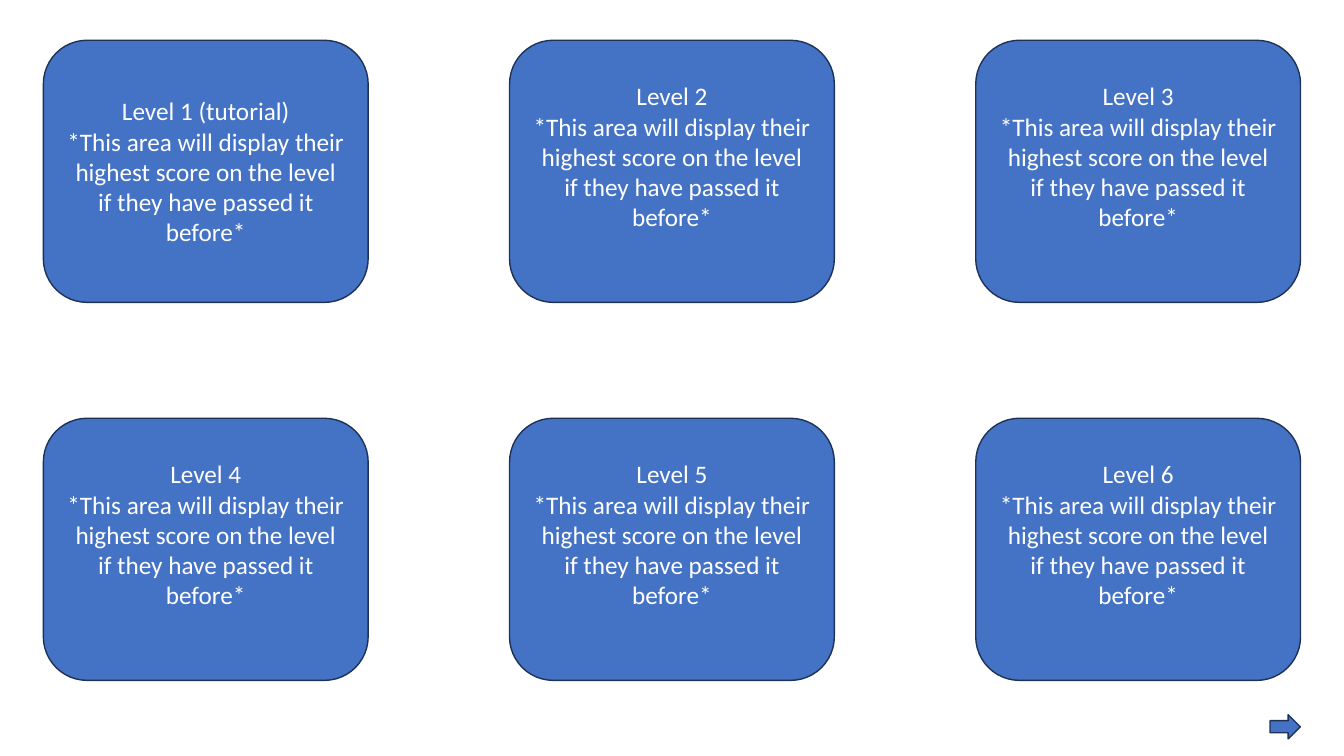
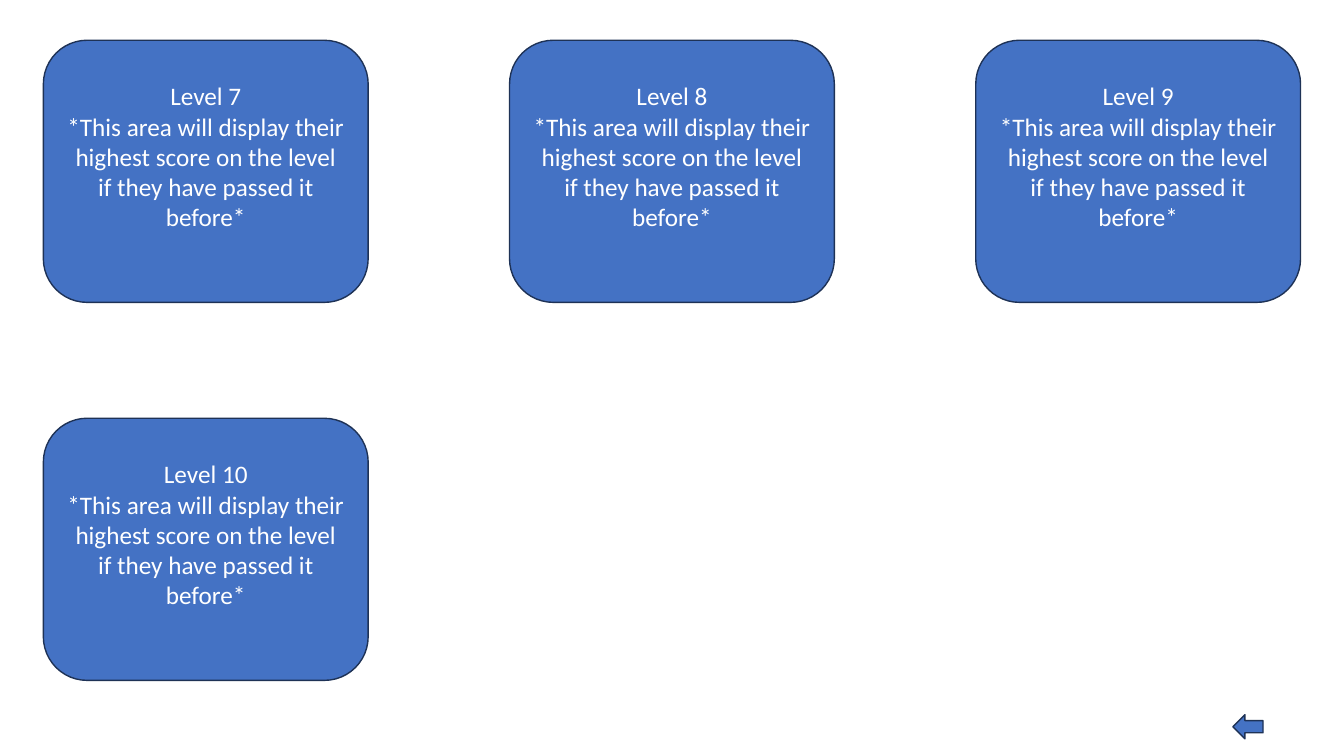
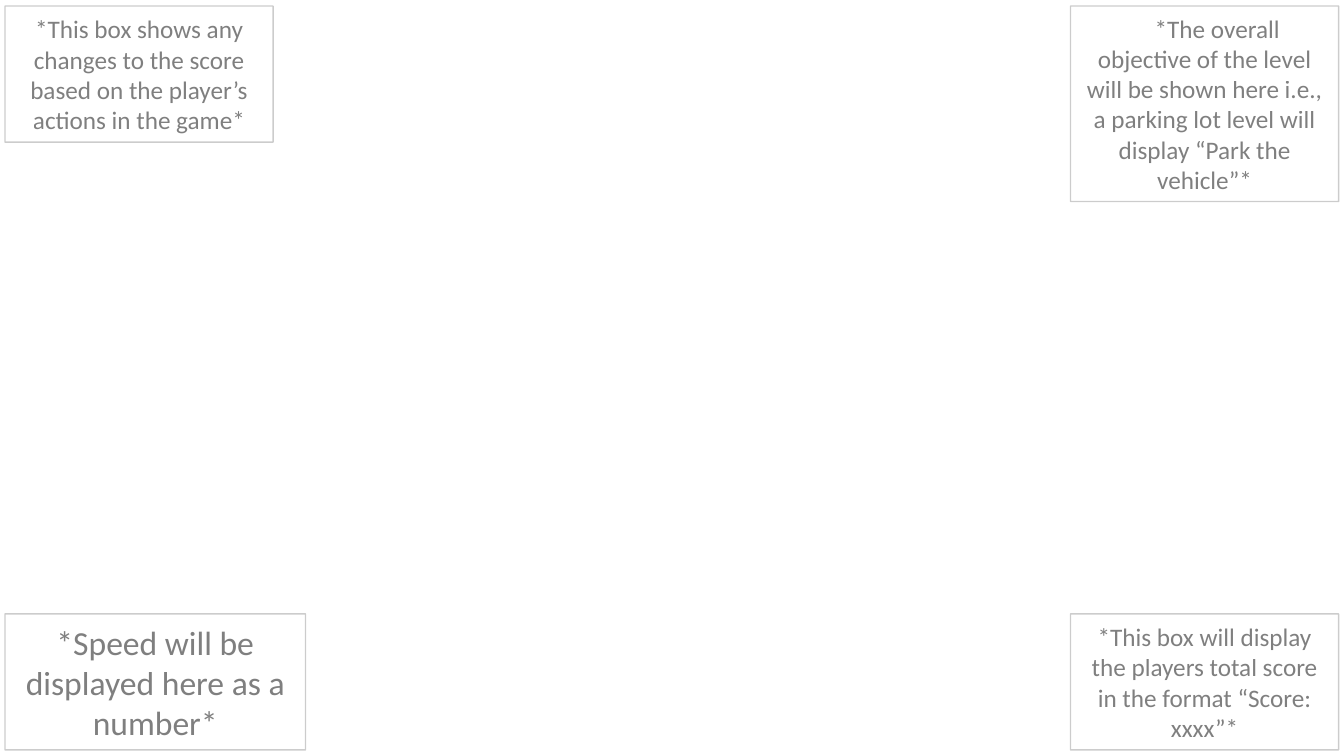
from lxml import etree
from pptx import Presentation
from pptx.dml.color import RGBColor
from pptx.enum.shapes import MSO_SHAPE
from pptx.enum.text import MSO_ANCHOR, PP_ALIGN
from pptx.oxml.ns import qn
from pptx.util import Pt

ROUND_RECT = MSO_SHAPE.ROUNDED_RECTANGLE
RECT = MSO_SHAPE.RECTANGLE
RIGHT_ARROW = MSO_SHAPE.RIGHT_ARROW
LEFT_ARROW = MSO_SHAPE.LEFT_ARROW
CENTER = PP_ALIGN.CENTER
MIDDLE = MSO_ANCHOR.MIDDLE

# Shared look
SLIDE_W, SLIDE_H = 960, 540
FONT = "Calibri"
BLUE, NAVY, WHITE, BLACK = "4472C4", "1E3256", "FFFFFF", "000000"

# Level grid
LEVEL_GRID = (31, 28.8, 898, 457.2)
LEVEL_W, LEVEL_H = 232, 187.2
COLUMNS, ROWS = 3, 2
SCORE_NOTE = ("*This area will display their highest score on the level "
              "if they have passed it before*")
BLANK_LINE = 21.6

# In-game overlay
OVERLAY = (3.6, 4.3, 952.6, 531.4)


def color(hex_code):
    return RGBColor.from_string(hex_code)


def set_opacity(element, *percents):
    """Give each colour found under element its opacity, in order."""
    for clr, percent in zip(list(element.iter(qn("a:srgbClr"))), percents):
        etree.SubElement(clr, qn("a:alpha")).set("val", str(percent * 1000))


def add_box(slide, kind, box, fill, line):
    shape = slide.shapes.add_shape(kind, *(Pt(v) for v in box))
    shape.shadow.inherit = False
    shape.fill.solid()
    shape.fill.fore_color.rgb = color(fill)
    shape.line.color.rgb = color(line)
    shape.line.width = Pt(1)
    return shape


def write(shape, lines, size, hex_code):
    frame = shape.text_frame
    frame.word_wrap = True
    frame.vertical_anchor = MIDDLE
    for i, line in enumerate(lines):
        paragraph = frame.add_paragraph() if i else frame.paragraphs[0]
        paragraph.alignment = CENTER
        run = paragraph.add_run()
        run.text = line
        font_format = {"name": FONT, "size": Pt(size)}
        for attribute, value in font_format.items():
            setattr(run.font, attribute, value)
        run.font.color.rgb = color(hex_code)
    return frame


def level_grid(slide, box, titles):
    left, top, width, height = box
    step_x = (width - LEVEL_W) / (COLUMNS - 1)
    step_y = (height - LEVEL_H) / (ROWS - 1)
    for i, title in enumerate(titles):
        row, column = divmod(i, COLUMNS)
        place = (left + column * step_x, top + row * step_y, LEVEL_W, LEVEL_H)
        level = add_box(slide, ROUND_RECT, place, BLUE, NAVY)
        frame = write(level, [title, SCORE_NOTE], 18, WHITE)
        # All but the tutorial keep one line free below the text
        if "tutorial" not in title:
            frame.margin_bottom = Pt(3.6 + BLANK_LINE)


def level_slide(slide, titles, arrow, arrow_left):
    level_grid(slide, LEVEL_GRID, titles)
    add_box(slide, arrow, (arrow_left, 510.5, 21.6, 17.3), BLUE, NAVY)


def overlay_slide(slide, box, notes):
    """Put each note in its corner; 0 is left or top, 1 right or bottom."""
    left, top, width, height = box
    for across, down, note_w, note_h, size, indent, text in notes:
        place = (left + across * (width - note_w),
                 top + down * (height - note_h), note_w, note_h)
        note = add_box(slide, RECT, place, WHITE, BLACK)
        set_opacity(note.element.spPr, 50, 20)
        paragraph = write(note, [text], size, BLACK).paragraphs[0]
        set_opacity(note.element.txBody, 50)
        if indent:
            properties = paragraph.runs[0]._r.getparent().get_or_add_pPr()
            properties.set("indent", str(Pt(indent)))


LEVELS = ["Level 1 (tutorial)"] + [f"Level {n}" for n in range(2, 11)]
PAGE = COLUMNS * ROWS

# across, down, width, height, text size, first-line indent, text
OVERLAY_NOTES = [
    (0, 0, 191.5, 97.2, 18, 0,
     "*This box shows any changes to the score based on the player’s "
     "actions in the game*"),
    (0, 1, 214.6, 97.2, 24, 0, "*Speed will be displayed here as a number*"),
    (1, 1, 191.5, 97.2, 18, 0,
     "*This box will display the players total score in the format "
     "“Score: xxxx”*"),
    (1, 0, 191.5, 139.7, 18, 18,
     "*The overall objective of the level will be shown here i.e., "
     "a parking lot level will display “Park the vehicle”*"),
]


def main():
    deck = Presentation()
    deck.slide_width, deck.slide_height = Pt(SLIDE_W), Pt(SLIDE_H)
    blank = deck.slide_layouts[6]

    level_slide(deck.slides.add_slide(blank), LEVELS[:PAGE], RIGHT_ARROW, 907.2)
    level_slide(deck.slides.add_slide(blank), LEVELS[PAGE:], LEFT_ARROW, 880.6)
    overlay_slide(deck.slides.add_slide(blank), OVERLAY, OVERLAY_NOTES)

    deck.save("out.pptx")


if __name__ == "__main__":
    main()
